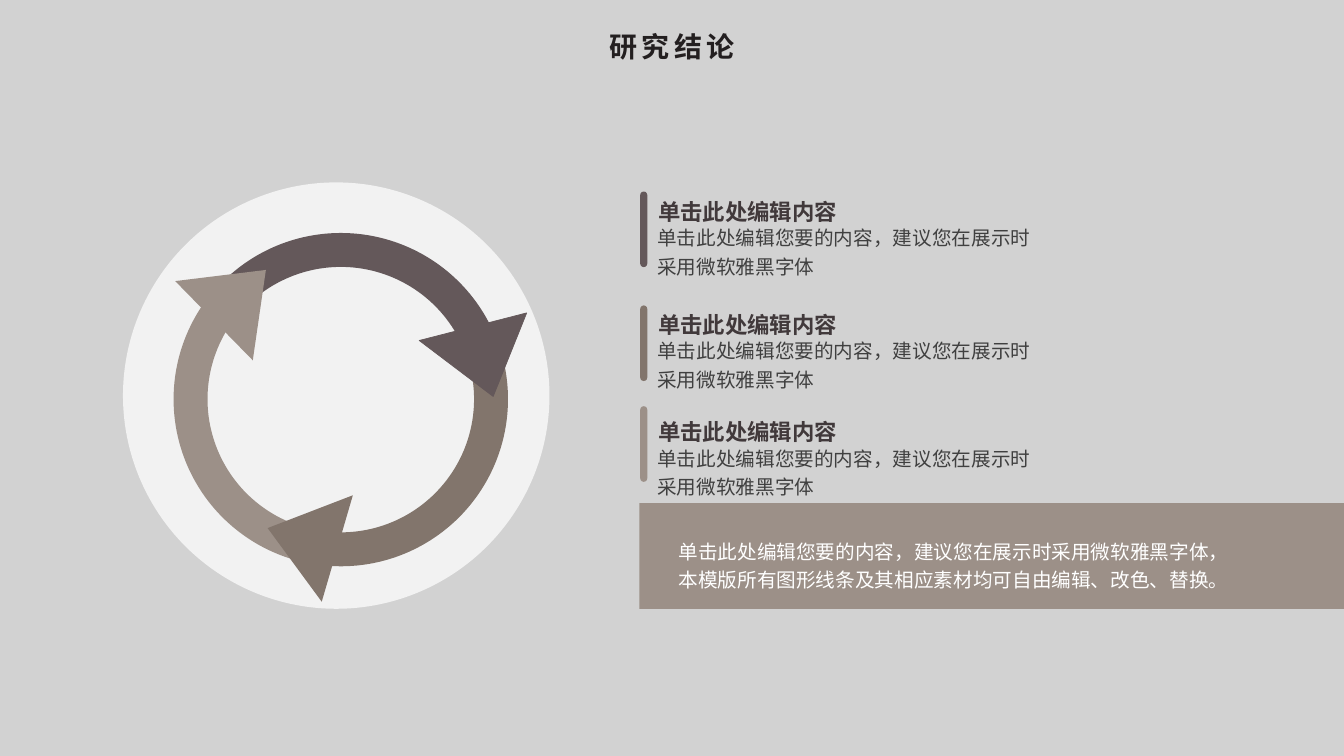
from dataclasses import dataclass

import pptx
import pptx.dml.color
import pptx.enum.shapes
import pptx.enum.text
import pptx.oxml.ns
import pptx.util
from lxml import etree
from pptx.util import Inches

SHAPES = pptx.enum.shapes.MSO_SHAPE


@dataclass(frozen=True)
class Theme:
    font: str = "Noto Sans CJK SC"
    background: str = "D2D2D2"
    disc: str = "F2F2F2"
    plum: str = "64585A"
    olive: str = "82756C"
    taupe: str = "9C9088"
    title: str = "231F20"
    heading: str = "41393B"
    body: str = "404040"
    light: str = "FFFFFF"
    title_size: int = 20
    heading_size: int = 16
    body_size: int = 14
    ring_width: float = 24.25


THEME = Theme()
HEADING = "单击此处编辑内容"
BODY = "单击此处编辑您要的内容，建议您在展示时采用微软雅黑字体"
SUMMARY = BODY + "，本模版所有图形线条及其相应素材均可自由编辑、改色、替换。"

ARCS = [
    (THEME.olive, 2.47, 120, (130.37, 203.42)),
    (THEME.plum, 2.48, 0, (131.25, 207.75)),
    (THEME.taupe, 2.47, 240, (130.1, 204.38)),
]
ARROWHEADS = [
    (THEME.plum, 4.23, 3.23, 165.6, 0.48),
    (THEME.taupe, 1.83, 2.57, 45.6, 0.5),
    (THEME.olive, 2.45, 4.98, 286.3, 0.5),
]
CONCLUSIONS = [
    (THEME.plum, 1.9, 1.86),
    (THEME.olive, 3.03, 2.98),
    (THEME.taupe, 4.03, 4.05),
]


def color(value):
    return pptx.dml.color.RGBColor.from_string(value)


def add_shape(slide, kind, box, fill=None, rotation=0, adjustments=()):
    shape = slide.shapes.add_shape(kind, *map(Inches, box))
    shape.shadow.inherit = False
    shape.rotation = rotation
    for index, value in enumerate(adjustments):
        shape.adjustments[index] = value
    if fill:
        shape.fill.solid()
        shape.fill.fore_color.rgb = color(fill)
    else:
        shape.fill.background()
    shape.line.fill.background()
    return shape


def outline(shape, value, width):
    shape.line.color.rgb = color(value)
    shape.line.width = pptx.util.Pt(width)


def format_text(paragraph, size, value, bold=False, spacing=0):
    font = paragraph.font
    font.name = THEME.font
    font.size = pptx.util.Pt(size)
    font.bold = bold
    font.color.rgb = color(value)
    properties = paragraph._p.pPr.find(pptx.oxml.ns.qn("a:defRPr"))
    etree.SubElement(properties, pptx.oxml.ns.qn("a:ea"), typeface=THEME.font)
    if spacing:
        properties.set("spc", str(spacing * 100))


def add_text(slide, box, text, size, value, bold=False, insets=(0.1, 0.05)):
    frame = slide.shapes.add_textbox(*map(Inches, box)).text_frame
    frame.word_wrap = True
    frame.margin_left = frame.margin_right = Inches(insets[0])
    frame.margin_top = frame.margin_bottom = Inches(insets[1])
    paragraph = frame.paragraphs[0]
    paragraph.text = text
    paragraph.line_spacing = 1.2
    format_text(paragraph, size, value, bold)


def set_title(slide, text):
    title = slide.shapes.title
    title.left, title.top = Inches(5.92), Inches(0.24)
    title.width, title.height = Inches(1.49), Inches(0.44)
    frame = title.text_frame
    frame.word_wrap = False
    frame.auto_size = pptx.enum.text.MSO_AUTO_SIZE.NONE
    frame.vertical_anchor = pptx.enum.text.MSO_ANCHOR.TOP
    paragraph = frame.paragraphs[0]
    paragraph.text = text
    paragraph.alignment = pptx.enum.text.PP_ALIGN.CENTER
    format_text(paragraph, THEME.title_size, THEME.title, True, 3)


def add_cycle(slide):
    add_shape(slide, SHAPES.OVAL, (1.22, 1.81, 4.23, 4.23), THEME.disc)
    for value, top, rotation, angles in ARCS:
        arc = add_shape(slide, SHAPES.ARC, (1.89, top, 2.98, 2.98),
                        rotation=rotation, adjustments=angles)
        outline(arc, value, THEME.ring_width)
    for value, left, top, rotation, apex in ARROWHEADS:
        arrowhead = add_shape(slide, SHAPES.ISOSCELES_TRIANGLE,
                              (left, top, 1.1, 0.72), value, rotation, (apex,))
        if value == THEME.plum:
            outline(arrowhead, value, 0.5)


def add_conclusion(slide, value, bar_top, text_top):
    add_shape(slide, SHAPES.ROUND_2_SAME_RECTANGLE, (6.35, bar_top, 0.07, 0.75),
              value, adjustments=(0.5, 0.5))
    add_text(slide, (6.42, text_top + 0.29, 4.06, 0.64), BODY,
             THEME.body_size, THEME.body)
    add_text(slide, (6.43, text_top, 2.55, 0.4), HEADING,
             THEME.heading_size, THEME.heading, True)


def add_summary(slide):
    add_shape(slide, SHAPES.RECTANGLE, (6.34, 4.99, 6.99, 1.05), THEME.taupe)
    add_text(slide, (6.6, 5.24, 5.83, 0.68), SUMMARY,
             THEME.body_size, THEME.light, insets=(0.13, 0.07))


def main():
    presentation = pptx.Presentation()
    presentation.slide_width = Inches(13.33)
    presentation.slide_height = Inches(7.5)
    slide = presentation.slides.add_slide(presentation.slide_layouts[5])
    slide.background.fill.solid()
    slide.background.fill.fore_color.rgb = color(THEME.background)
    set_title(slide, "研究结论")
    add_cycle(slide)
    add_summary(slide)
    for conclusion in CONCLUSIONS:
        add_conclusion(slide, *conclusion)
    presentation.save("out.pptx")


if __name__ == "__main__":
    main()
